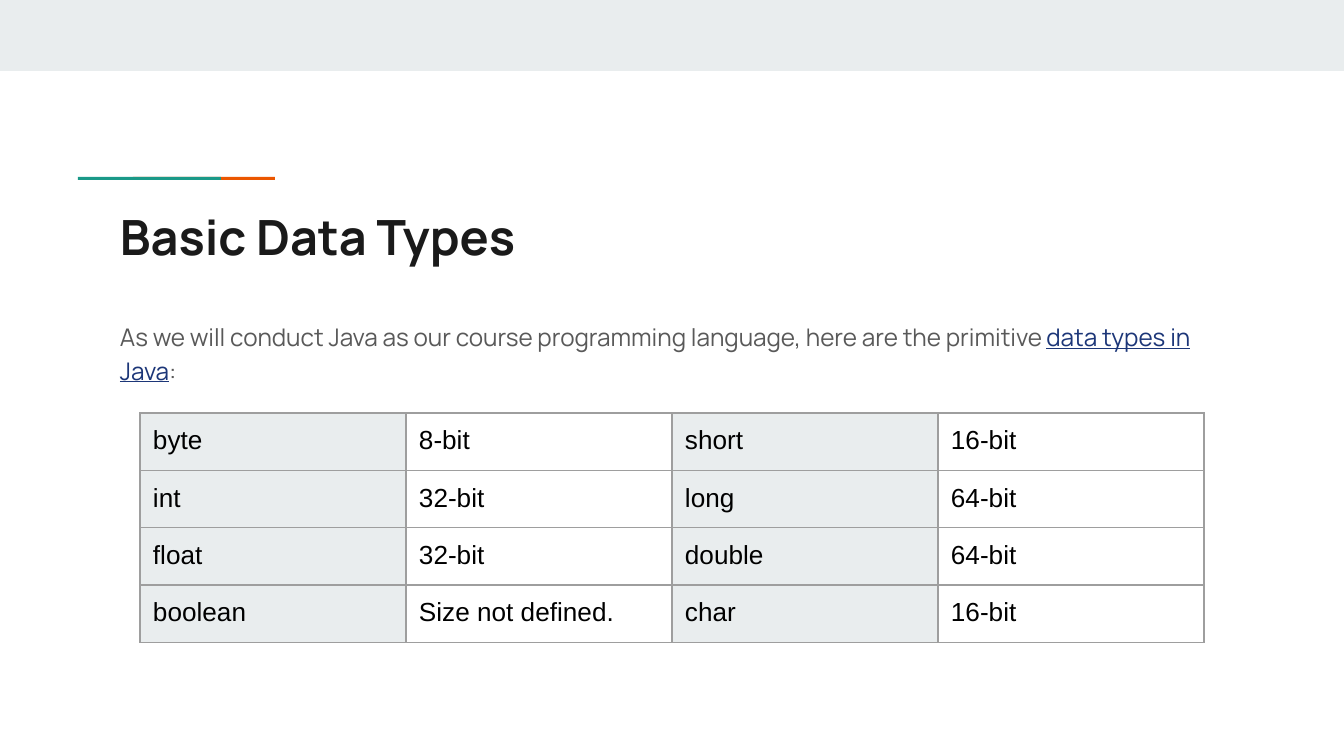
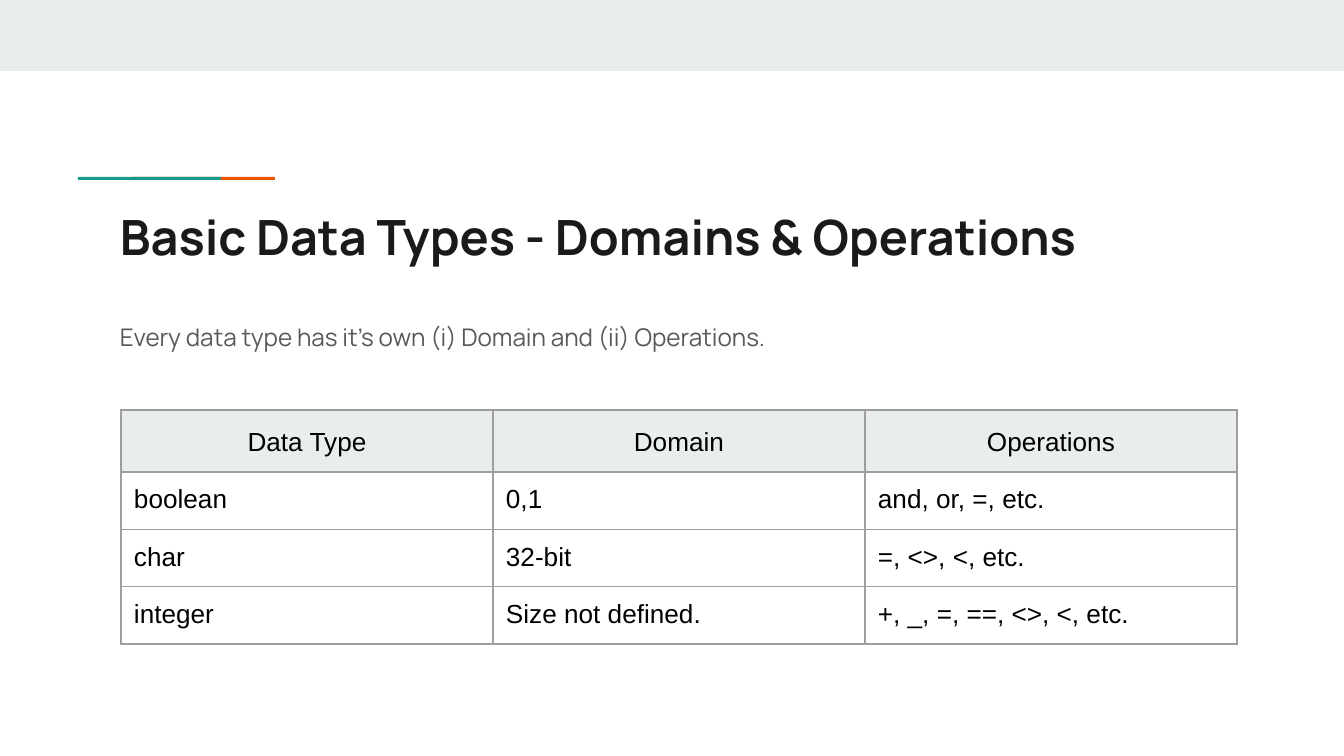
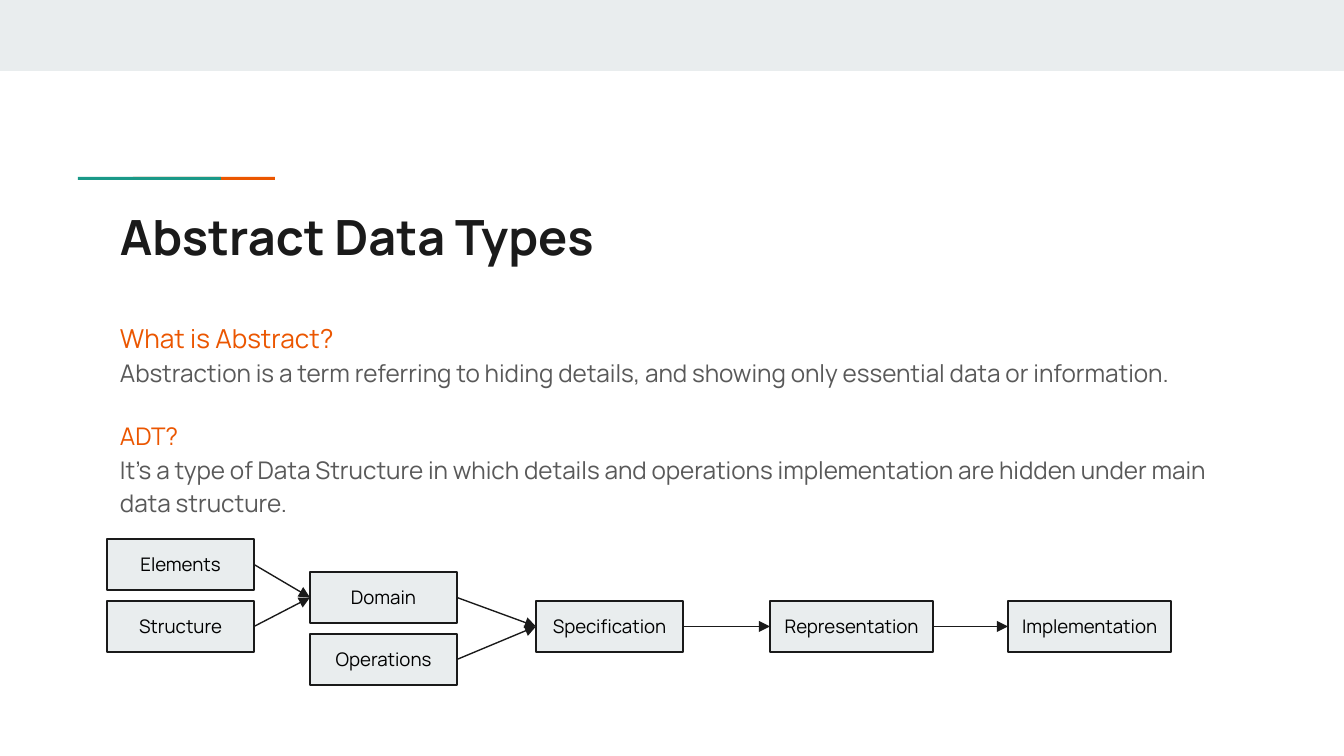
import pptx
import pptx.dml.color
import pptx.enum.shapes
import pptx.enum.text
import pptx.oxml
import pptx.oxml.ns
import pptx.util

RGB = pptx.dml.color.RGBColor
Pt = pptx.util.Pt
ALIGN = pptx.enum.text.PP_ALIGN
ANCHOR = pptx.enum.text.MSO_ANCHOR
qn = pptx.oxml.ns.qn

EMU_PER_PX = 914400 / 134.4
WIDTH, HEIGHT = 1344, 756
INSET = 13

WHITE = RGB(0xFF, 0xFF, 0xFF)
BLACK = RGB(0x00, 0x00, 0x00)
INK = RGB(0x1A, 0x1A, 0x1A)
BODY_GRAY = RGB(0x59, 0x59, 0x59)
BORDER_GRAY = RGB(0x9E, 0x9E, 0x9E)
MIST = RGB(0xE9, 0xED, 0xEE)
TEAL = RGB(0x1A, 0x99, 0x88)
ORANGE = RGB(0xEB, 0x56, 0x00)
NAVY = RGB(0x1C, 0x36, 0x78)

TITLE = {"name": "Manrope", "size": Pt(26), "bold": True, "color": INK}
BODY = {"name": "Manrope", "size": Pt(13), "color": BODY_GRAY}
LINK = BODY | {"color": NAVY, "underline": True}
QUESTION = BODY | {"color": ORANGE}
CELL = {"name": "Arial", "size": Pt(14), "color": BLACK}
BOX = {"name": "Manrope", "size": Pt(10), "color": BLACK}

BODY_PARA = {"line_spacing": 1.15, "space_after": Pt(16)}
QUESTION_PARA = {"line_spacing": 1.15, "space_after": Pt(0)}
HEADER_PARA = {"line_spacing": 1.15, "space_before": Pt(7), "alignment": ALIGN.CENTER}
CENTERED = {"alignment": ALIGN.CENTER}


def px(n):
    return pptx.util.Emu(round(n * EMU_PER_PX))


def set_all(obj, values):
    for name, value in values.items():
        setattr(obj, name, value)


MARGINS = {f"margin_{side}": px(INSET) for side in ("left", "top", "right", "bottom")}


class Deck:
    """Holds the shared style and the slide being filled."""

    def __init__(self):
        self.prs = pptx.Presentation()
        self.prs.slide_width, self.prs.slide_height = px(WIDTH), px(HEIGHT)
        self.s = None

    def slide(self, title):
        self.s = self.prs.slides.add_slide(self.prs.slide_layouts[6])
        self.paint(self.s.background, WHITE)
        self.rect(0, 0, WIDTH, 71, MIST)
        self.rect(133, 177, 142, 3, ORANGE)
        self.rect(78, 177, 143, 3, TEAL)
        self.text(107, 194, 1130, 79, [({}, [(title, TITLE)])])

    def paint(self, obj, color):
        obj.fill.solid()
        obj.fill.fore_color.rgb = color

    def rect(self, x, y, w, h, fill, line=None):
        sp = self.s.shapes.add_shape(
            pptx.enum.shapes.MSO_SHAPE.RECTANGLE, px(x), px(y), px(w), px(h))
        sp.shadow.inherit = False
        self.paint(sp, fill)
        if line is None:
            sp.line.fill.background()
        else:
            sp.line.color.rgb = line
            sp.line.width = Pt(0.75)
        return sp

    def fill_text(self, tf, paragraphs):
        """Fill a text frame from (paragraph format, [(text, font format)])."""
        for i, (para_format, runs) in enumerate(paragraphs):
            p = tf.paragraphs[0] if i == 0 else tf.add_paragraph()
            set_all(p, para_format)
            for text, font in runs:
                r = p.add_run()
                r.text = text
                set_all(r.font, {k: v for k, v in font.items() if k != "color"})
                r.font.color.rgb = font["color"]

    def set_frame(self, tf, anchor):
        set_all(tf, MARGINS | {"word_wrap": True, "vertical_anchor": anchor})

    def text(self, x, y, w, h, paragraphs):
        tf = self.s.shapes.add_textbox(px(x), px(y), px(w), px(h)).text_frame
        self.set_frame(tf, ANCHOR.TOP)
        self.fill_text(tf, paragraphs)

    def body(self, paragraphs):
        self.text(107, 305, 1130, 332, paragraphs)

    def box(self, x, y, w, label):
        sp = self.rect(x, y, w, 51, MIST, INK)
        self.set_frame(sp.text_frame, ANCHOR.MIDDLE)
        self.fill_text(sp.text_frame, [(CENTERED, [(label, BOX)])])
        return sp

    def arrow(self, start, end):
        """Link the right side of one box to the left side of another."""
        cn = self.s.shapes.add_connector(
            pptx.enum.shapes.MSO_CONNECTOR.STRAIGHT, 0, 0, 0, 0)
        cn.begin_connect(start, 3)
        cn.end_connect(end, 1)
        cn.line.color.rgb = INK
        cn.line.width = Pt(0.75)
        sp_pr = cn._element.spPr
        ln = sp_pr.find(qn("a:ln"))
        ln.append(ln.makeelement(qn("a:tailEnd"), {"type": "triangle"}))
        sp_pr.append(sp_pr.makeelement(qn("a:effectLst"), {}))

    def borders(self, cell):
        tc_pr = cell._tc.get_or_add_tcPr()
        ns = pptx.oxml.ns.nsdecls("a")
        for side in "LRTB":
            tc_pr.append(pptx.oxml.parse_xml(
                f'<a:ln{side} {ns} w="{Pt(0.75)}"><a:solidFill>'
                f'<a:srgbClr val="{BORDER_GRAY}"/></a:solidFill></a:ln{side}>'))

    def table(self, x, y, col_w, rows, shaded, header=False):
        """Draw rows of text; shaded(row, col) picks the tinted cells."""
        n_cols, row_h = len(rows[0]), 56
        table = self.s.shapes.add_table(
            len(rows), n_cols, px(x), px(y),
            px(col_w * n_cols), px(row_h * len(rows))).table
        set_all(table, {"first_row": False, "horz_banding": False})
        for col in table.columns:
            col.width = px(col_w)
        for i, row in enumerate(rows):
            table.rows[i].height = px(row_h)
            for j, label in enumerate(row):
                cell = table.cell(i, j)
                set_all(cell, MARGINS)
                self.borders(cell)
                self.paint(cell, MIST if shaded(i, j) else WHITE)
                para_format = HEADER_PARA if header and i == 0 else {}
                self.fill_text(cell.text_frame, [(para_format, [(label, CELL)])])


def basic_types(deck):
    deck.slide("Basic Data Types")
    deck.body([(BODY_PARA, [
        ("As we will conduct Java as our course programming language, "
         "here are the primitive ", BODY),
        ("data types in Java", LINK),
        (":", BODY)])])
    deck.table(140, 413, 266, [
        ("byte", "8-bit", "short", "16-bit"),
        ("int", "32-bit", "long", "64-bit"),
        ("float", "32-bit", "double", "64-bit"),
        ("boolean", "Size not defined.", "char", "16-bit"),
    ], shaded=lambda row, col: col % 2 == 0)


def domains_and_operations(deck):
    deck.slide("Basic Data Types - Domains & Operations")
    deck.body([(BODY_PARA, [
        ("Every data type has it’s own (i) Domain and (ii) Operations.", BODY)])])
    deck.table(121, 410, 372, [
        ("Data Type", "Domain", "Operations"),
        ("boolean", "0,1", "and, or, =, etc."),
        ("char", "32-bit", "=, <>, <, etc."),
        ("integer", "Size not defined.", "+, _, =, ==, <>, <, etc."),
    ], shaded=lambda row, col: row == 0, header=True)


def abstract_types(deck):
    deck.slide("Abstract Data Types")
    deck.body([
        (QUESTION_PARA, [("What is Abstract?", QUESTION | {"size": Pt(14)})]),
        (BODY_PARA, [("Abstraction is a term referring to hiding details, and "
                      "showing only essential data or information.", BODY)]),
        (QUESTION_PARA, [("ADT?", QUESTION)]),
        (BODY_PARA, [("It’s a type of Data Structure in which details and "
                      "operations implementation are hidden under main data "
                      "structure.", BODY)]),
    ])
    boxes = {label: deck.box(x, y, w, label) for label, x, y, w in [
        ("Elements", 107, 539, 147),
        ("Structure", 107, 601, 147),
        ("Domain", 310, 572, 147),
        ("Operations", 310, 634, 147),
        ("Specification", 536, 601, 147),
        ("Representation", 770, 601, 163),
        ("Implementation", 1008, 601, 163),
    ]}
    for start, end in [
        ("Elements", "Domain"),
        ("Structure", "Domain"),
        ("Domain", "Specification"),
        ("Operations", "Specification"),
        ("Specification", "Representation"),
        ("Representation", "Implementation"),
    ]:
        deck.arrow(boxes[start], boxes[end])


def main():
    deck = Deck()
    basic_types(deck)
    domains_and_operations(deck)
    abstract_types(deck)
    deck.prs.save("out.pptx")


if __name__ == "__main__":
    main()
